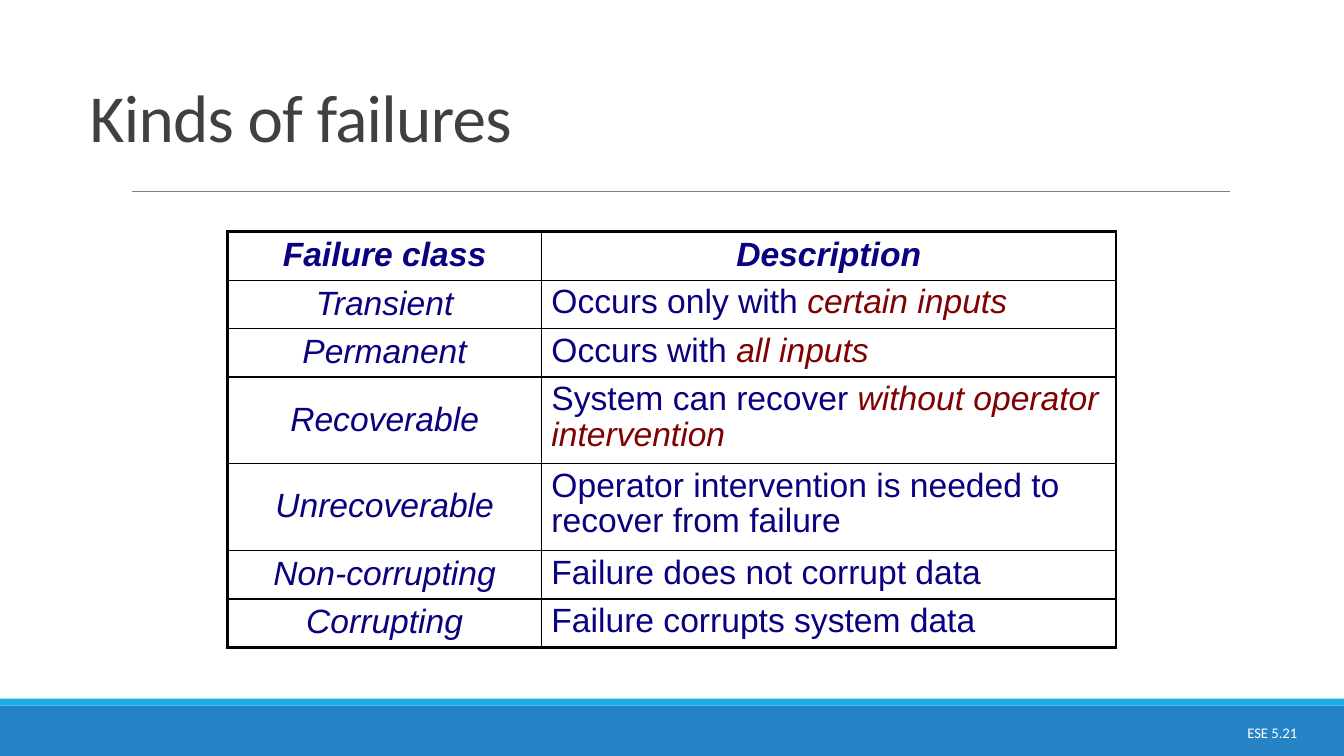
"""Build the slide on kinds of failures, with its table of failure classes."""
from dataclasses import dataclass

from lxml.etree import SubElement
from pptx import Presentation
from pptx.dml.color import RGBColor
from pptx.enum.shapes import MSO_CONNECTOR as CONN, MSO_SHAPE as SHAPE
from pptx.enum.text import MSO_ANCHOR as ANCHOR, MSO_AUTO_SIZE as AUTO, PP_ALIGN as ALIGN
from pptx.oxml.ns import qn
from pptx.slide import Slide
from pptx.table import Table, _Cell as Cell
from pptx.text.text import _Run as Run
from pptx.util import Pt

BLUE = RGBColor(0x26, 0x83, 0xC6)
CYAN = RGBColor(0x1C, 0xAD, 0xE4)
GRAY = RGBColor(0x80, 0x80, 0x80)
DARK = RGBColor(0x40, 0x40, 0x40)
NAVY = RGBColor(0x0A, 0x01, 0x7F)
MAROON = RGBColor(0x7F, 0x01, 0x01)
BLACK = RGBColor(0, 0, 0)
WHITE = RGBColor(0xFF, 0xFF, 0xFF)
THICK, THIN = Pt(2.25), Pt(1)


@dataclass
class Bar:
    top: float
    height: float
    color: RGBColor


@dataclass
class Failure:
    name: str
    text: str
    stress: str = ""
    height: float = 32.6


BARS = [Bar(504, 36, BLUE), Bar(499, 5, CYAN)]
HEADER = Failure("Failure class", "Description")
FAILURES = [
    Failure("Transient", "Occurs only with ", "certain inputs"),
    Failure("Permanent", "Occurs with ", "all inputs"),
    Failure("Recoverable", "System can recover ", "without operator intervention", 57.9),
    Failure("Unrecoverable", "Operator intervention is needed to recover from failure", height=57.9),
    Failure("Non-corrupting", "Failure does not corrupt data"),
    Failure("Corrupting", "Failure corrupts system data"),
]


def style(r: Run, name: str, size: float, color: RGBColor,
          bold: bool = False, italic: bool = False) -> None:
    font = r.font
    font.name, font.size, font.bold, font.italic = name, Pt(size), bold, italic
    font.color.rgb = color


def add_bar(slide: Slide, bar: Bar) -> None:
    sp = slide.shapes.add_shape(SHAPE.RECTANGLE, 0, Pt(bar.top), Pt(960), Pt(bar.height))
    sp.shadow.inherit = False
    sp.fill.solid()
    sp.fill.fore_color.rgb = bar.color
    sp.line.fill.background()


def add_rule(slide: Slide) -> None:
    line = slide.shapes.add_connector(CONN.STRAIGHT, Pt(94.3), Pt(136.8), Pt(878.6), Pt(136.8))
    line.line.color.rgb = GRAY
    line.line.width = Pt(0.5)
    SubElement(line._element.spPr, qn("a:effectLst"))


def add_page_number(slide: Slide) -> None:
    tf = slide.shapes.add_textbox(Pt(792), Pt(516.2), Pt(141.8), Pt(14.4)).text_frame
    tf.word_wrap = True
    tf.vertical_anchor = ANCHOR.MIDDLE
    tf.margin_top = tf.margin_bottom = 0
    p = tf.paragraphs[0]
    p.text = "ESE 5.21"
    p.alignment = ALIGN.RIGHT
    style(p.runs[0], "Calibri", 10.5, WHITE)


def set_title(slide: Slide) -> None:
    sp = slide.shapes.title
    sp.left, sp.top, sp.width, sp.height = Pt(56.9), Pt(51.1), Pt(695.5), Pt(64.1)
    tf = sp.text_frame
    tf.text = "Kinds of failures"
    tf.word_wrap = True
    tf.auto_size = AUTO.NONE
    tf.vertical_anchor = ANCHOR.BOTTOM
    p = tf.paragraphs[0]
    p.alignment = ALIGN.LEFT
    p.line_spacing = 0.85
    style(p.runs[0], "Calibri", 48, DARK)
    p.runs[0].font._element.set("spc", "-50")


def set_borders(cell: Cell, thick_sides: str) -> None:
    tc_pr = cell._tc.get_or_add_tcPr()
    for side in "LRTB":
        width = THICK if side in thick_sides else THIN
        ln = SubElement(tc_pr, qn(f"a:ln{side}"), w=str(int(width)))
        fill = SubElement(ln, qn("a:solidFill"))
        SubElement(fill, qn("a:srgbClr"), val=str(BLACK))


def fill_cell(cell: Cell, text: str, stress: str, centered: bool,
              bold: bool, italic: bool) -> None:
    cell.fill.background()
    cell.vertical_anchor = ANCHOR.MIDDLE if centered else ANCHOR.TOP
    p = cell.text_frame.paragraphs[0]
    p.text = text
    p.alignment = ALIGN.CENTER if centered else ALIGN.LEFT
    p.line_spacing = 0.95
    style(p.runs[0], "Arial", 24, NAVY, bold, italic)
    if stress:
        r = p.add_run()
        r.text = stress
        style(r, "Arial", 24, MAROON, italic=True)


def fill_row(table: Table, i: int, row: Failure) -> None:
    head, last = i == 0, i == len(FAILURES)
    table.rows[i].height = Pt(row.height)
    edge = ("T" if head else "") + ("B" if last else "")
    name, text = table.cell(i, 0), table.cell(i, 1)
    set_borders(name, edge + "L")
    set_borders(text, edge + "R")
    fill_cell(name, row.name, "", True, head, True)
    fill_cell(text, row.text, row.stress, head, head, head)


def add_failures(slide: Slide) -> None:
    rows = [HEADER, *FAILURES]
    height = sum(row.height for row in rows)
    table = slide.shapes.add_table(len(rows), 2, Pt(162.7), Pt(165.6), Pt(634.4), Pt(height)).table
    table.first_row = table.horz_banding = False
    table.columns[0].width, table.columns[1].width = Pt(224), Pt(410.4)
    for i, row in enumerate(rows):
        fill_row(table, i, row)


def main() -> None:
    prs = Presentation()
    prs.slide_width, prs.slide_height = Pt(960), Pt(540)
    slide = prs.slides.add_slide(prs.slide_layouts[5])
    for bar in BARS:
        add_bar(slide, bar)
    add_rule(slide)
    add_page_number(slide)
    set_title(slide)
    add_failures(slide)
    prs.save("out.pptx")


if __name__ == "__main__":
    main()
